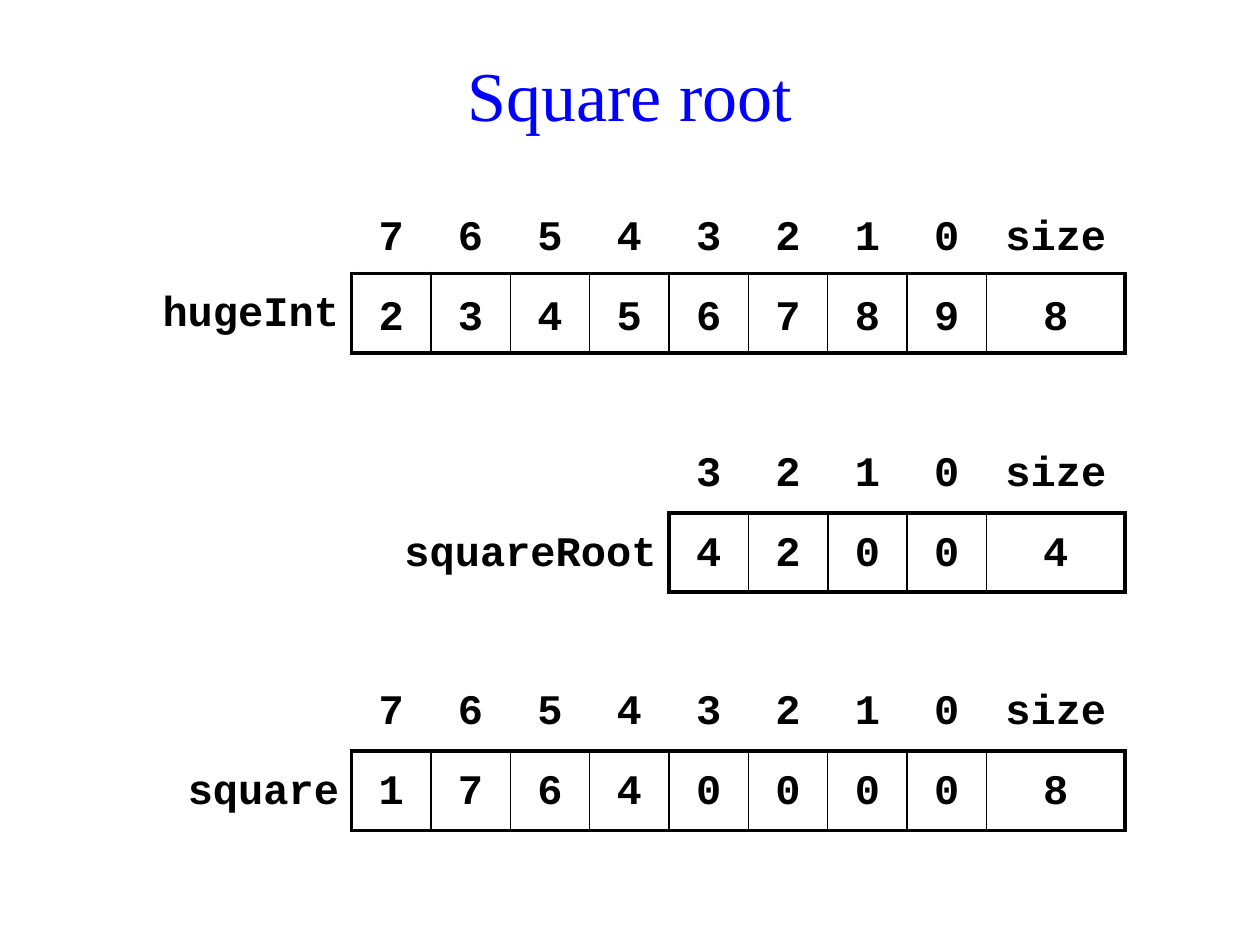
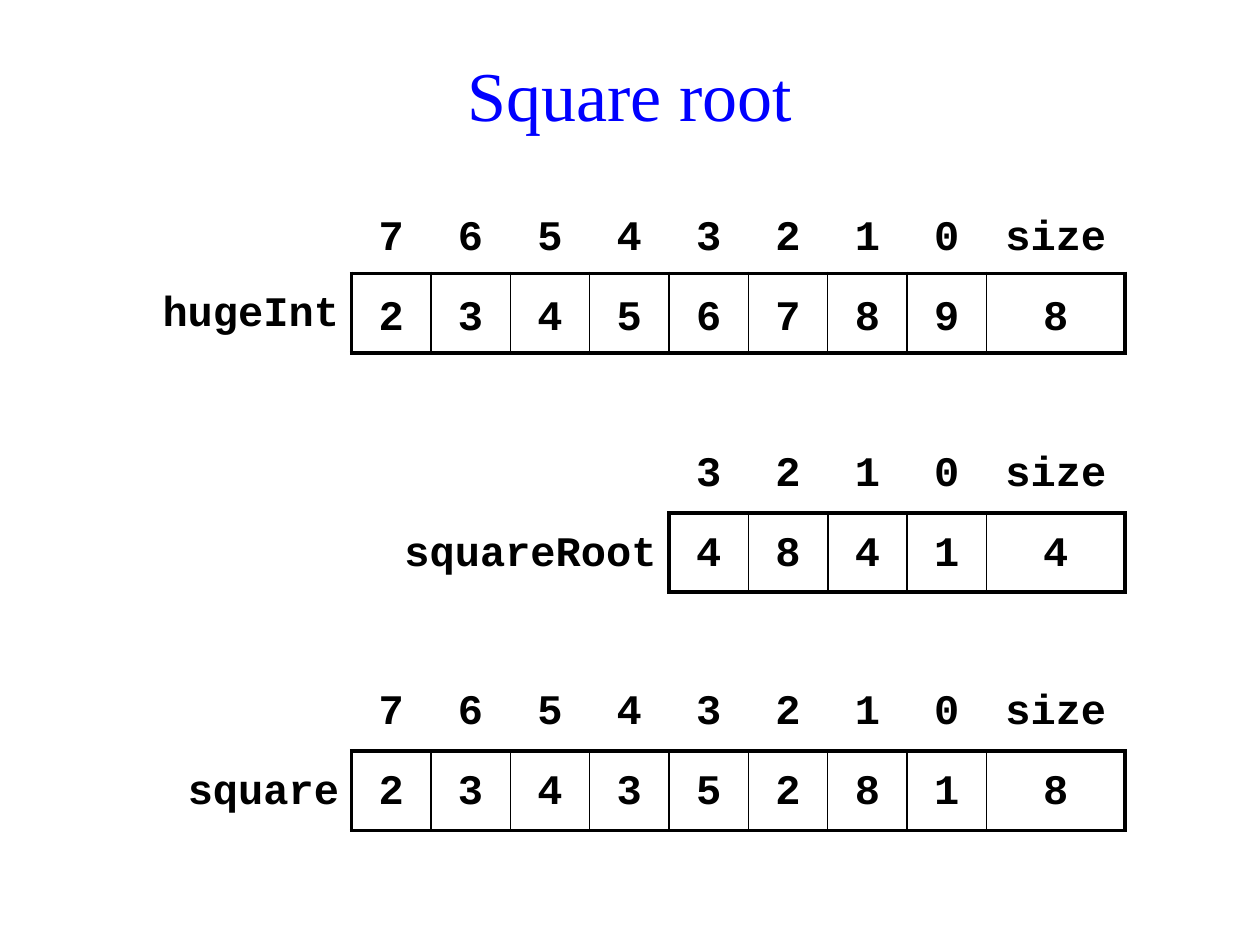
"""Build two slides that show a square root held in digit arrays."""
from dataclasses import dataclass

from lxml import etree
from pptx import Presentation
from pptx.dml.color import RGBColor
from pptx.enum.text import MSO_ANCHOR, PP_ALIGN
from pptx.oxml.ns import qn
from pptx.util import Inches, Pt

TOP, MIDDLE = MSO_ANCHOR.TOP, MSO_ANCHOR.MIDDLE
CENTER, RIGHT = PP_ALIGN.CENTER, PP_ALIGN.RIGHT
BLACK, BLUE, WHITE = "000000", "0000FF", "FFFFFF"
PLAIN_STYLE = "{2D5ABB26-0587-4C30-8999-92F81FD0307C}"
THICK, THIN = 2.25, 1
DIGIT_WIDTH, SIZE_WIDTH, ROW_HEIGHT = 0.63, 1.1, 0.63
RIGHT_EDGE = 8.93


@dataclass(frozen=True)
class Font:
    """Look of a run."""
    name: str
    size: int
    color: str
    bold: bool = False


@dataclass(frozen=True)
class Array:
    """A named row of digits with its place on the slide."""
    name: str
    digits: str
    top: float
    label_width: float
    anchor: MSO_ANCHOR = TOP


TITLE = Font("Times New Roman", 40, BLUE)
CODE = Font("Courier New", 24, BLACK, True)


def paint(color: str) -> RGBColor:
    """Turn a hex string into a colour."""
    return RGBColor.from_string(color)


def add_run(part, text: str, font: Font, align: PP_ALIGN) -> None:
    """Add one run to a paragraph and style it."""
    part.alignment = align
    run = part.add_run()
    run.text = text
    run.font.name = font.name
    run.font.size = Pt(font.size)
    run.font.bold = font.bold
    run.font.color.rgb = paint(font.color)


def add_title(slide, text: str) -> None:
    """Add the centred slide title."""
    box = slide.shapes.add_textbox(Inches(0.59), Inches(0.28), Inches(8.82), Inches(0.93))
    frame = box.text_frame
    frame.word_wrap = True
    frame.vertical_anchor = MIDDLE
    add_run(frame.paragraphs[0], text, TITLE, CENTER)


def add_border(cell, side: str, width: float) -> None:
    """Draw one black edge of a cell."""
    props = cell._tc.get_or_add_tcPr()
    line = etree.SubElement(props, qn(f"a:ln{side}"), w=str(Pt(width)))
    fill = etree.SubElement(line, qn("a:solidFill"))
    etree.SubElement(fill, qn("a:srgbClr"), val=BLACK)


def fill_cell(cell, text: str, align: PP_ALIGN, anchor: MSO_ANCHOR, edges: dict[str, float]) -> None:
    """Write a cell and draw its edges."""
    for side, width in edges.items():
        add_border(cell, side, width)
    cell.fill.background()
    cell.vertical_anchor = anchor
    if text:
        part = cell.text_frame.paragraphs[0]
        part.line_spacing = 1.25
        add_run(part, text, CODE, align)


def add_array(slide, array: Array) -> None:
    """Draw an array as a table with places above and digits below."""
    count = len(array.digits)
    heads = [str(place) for place in reversed(range(count))] + ["size"]
    values = [*array.digits, str(count)]
    widths = [array.label_width] + [DIGIT_WIDTH] * count + [SIZE_WIDTH]
    total = sum(widths)
    frame = slide.shapes.add_table(
        2, len(widths), Inches(RIGHT_EDGE - total), Inches(array.top),
        Inches(total), Inches(2 * ROW_HEIGHT))
    table = frame.table
    table.first_row = table.horz_banding = False
    table._tbl.tblPr.find(qn("a:tableStyleId")).text = PLAIN_STYLE
    for column, width in zip(table.columns, widths):
        column.width = Inches(width)
    for row in table.rows:
        row.height = Inches(ROW_HEIGHT)

    fill_cell(table.cell(0, 0), "", RIGHT, TOP, {})
    fill_cell(table.cell(1, 0), array.name, RIGHT, TOP, {"R": THICK})
    for index, (head, value) in enumerate(zip(heads, values), 1):
        edges = {
            "L": THICK if index == 1 else THIN,
            "R": THICK if index == len(values) else THIN,
            "T": THICK,
            "B": THICK,
        }
        fill_cell(table.cell(0, index), head, CENTER, array.anchor, {})
        fill_cell(table.cell(1, index), value, CENTER, array.anchor, edges)


def add_slide(deck, root: str, square: str) -> None:
    """Add a slide for one guess of the root."""
    slide = deck.slides.add_slide(deck.slide_layouts[6])
    slide.background.fill.solid()
    slide.background.fill.fore_color.rgb = paint(WHITE)
    add_title(slide, "Square root")
    add_array(slide, Array("hugeInt", "23456789", 1.54, 1.73, MIDDLE))
    add_array(slide, Array("squareRoot", root, 3.44, 2.2))
    add_array(slide, Array("square", square, 5.33, 1.42))


def main() -> None:
    """Build and save the deck."""
    deck = Presentation()
    deck.slide_width, deck.slide_height = Inches(10), Inches(7.5)
    for root, square in (("4200", "17640000"), ("4841", "23435281")):
        add_slide(deck, root, square)
    deck.save("out.pptx")


if __name__ == "__main__":
    main()
